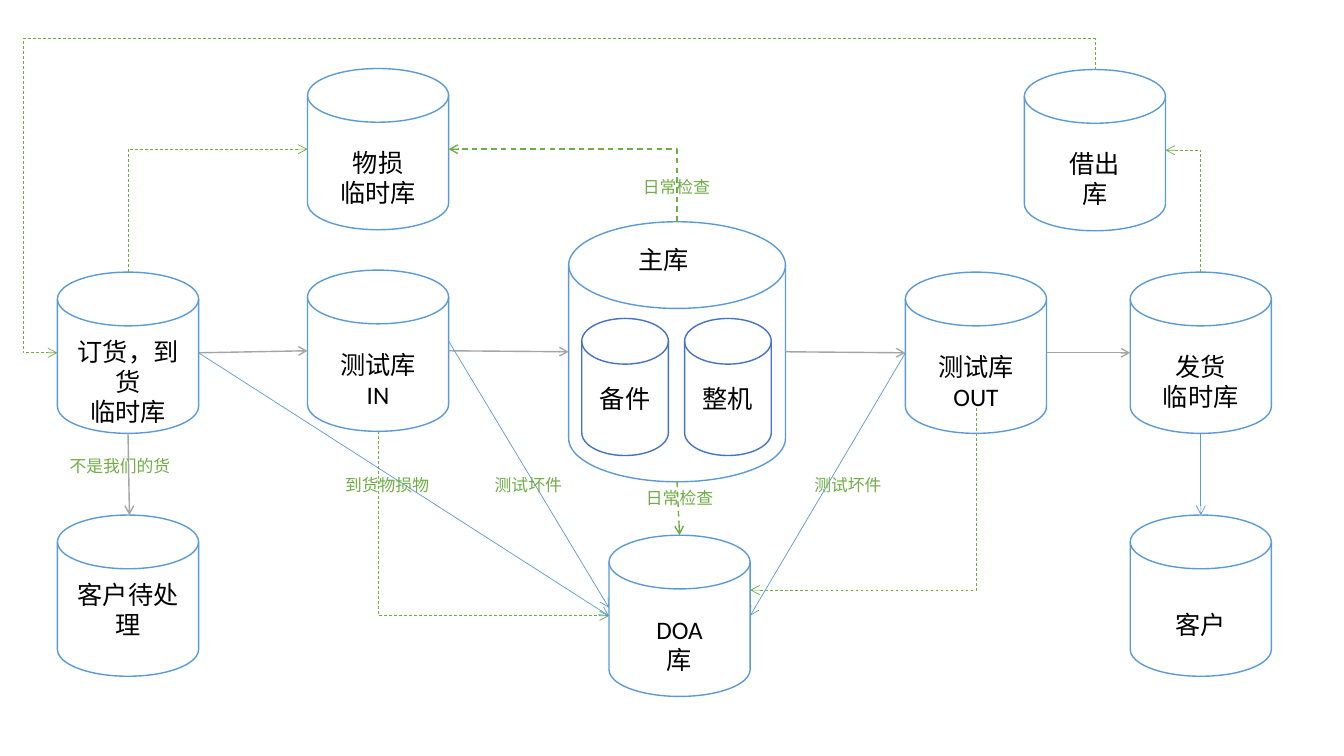
"""Build the slide of warehouse flows between stock cylinders."""
import dataclasses

import lxml.etree
import pptx
import pptx.dml.color
import pptx.enum.dml
import pptx.enum.shapes
import pptx.enum.text
import pptx.oxml.ns
import pptx.util

COLUMNS, ROWS = 133.3, 75
CELL = pptx.util.Inches(0.1)
COLORS = {"white": "FFFFFF", "black": "000000", "blue": "5B9BD5",
          "indigo": "4472C4", "gray": "A5A5A5", "green": "70AD47"}
FONT = "Calibri"
MIDDLE = pptx.enum.text.MSO_ANCHOR.MIDDLE
Point = tuple[float, float]


@dataclasses.dataclass(frozen=True)
class Store:
    left: float
    top: float
    text: str = ""
    width: float = 14
    height: float = 16
    color: str = "blue"
    drop: float = 3

    def at(self, across: float, down: float) -> Point:
        return self.left + across * self.width, self.top + down * self.height

    @property
    def north(self) -> Point:
        return self.at(0.5, 0)

    @property
    def south(self) -> Point:
        return self.at(0.5, 1)

    @property
    def west(self) -> Point:
        return self.at(0, 0.5)

    @property
    def east(self) -> Point:
        return self.at(1, 0.5)


@dataclasses.dataclass(frozen=True)
class Link:
    start: Point
    end: Point
    color: str
    weight: float = 0.5
    preset: str = "line"
    adjusts: tuple[int, ...] = ()


@dataclasses.dataclass(frozen=True)
class Label:
    left: float
    top: float
    text: str


MAIN = Store(56.4, 22, width=21.5, height=25.8)
ARRIVAL = Store(5.7, 27, "订货，到货\n临时库")
DOA = Store(60.4, 53.1, "DOA\n库")
DAMAGED = Store(30.5, 6.8, "物损\n临时库")
TEST_IN = Store(30.5, 26.8, "测试库\nIN")
TEST_OUT = Store(89.8, 27, "测试库\nOUT")
SHIPPING = Store(112.1, 27, "发货\n临时库")
LOAN = Store(101.6, 6.9, "借出\n库")
PENDING = Store(5.7, 51.1, "客户待处理", drop=0)
CUSTOMER = Store(112.1, 51.1, "客户")
INNER = [Store(57.7 + 10.2 * index, 31.6, text, 8.6, 13.6, "indigo", 0)
         for index, text in enumerate(("备件", "整机"))]
STORES = [MAIN, ARRIVAL, DOA, DAMAGED, TEST_IN, TEST_OUT, SHIPPING, LOAN,
          PENDING, CUSTOMER, *INNER]

ELBOW = "bentConnector2"
LINKS = [
    Link(ARRIVAL.east, TEST_IN.west, "gray", 1),
    Link(TEST_IN.east, MAIN.west, "gray", 1),
    Link(MAIN.east, TEST_OUT.west, "gray", 1),
    Link(TEST_OUT.east, SHIPPING.west, "gray", 1),
    Link(ARRIVAL.south, PENDING.at(0.51, 0), "gray", 1),
    Link(ARRIVAL.north, DAMAGED.west, "green", preset=ELBOW),
    Link(TEST_IN.south, DOA.west, "green", preset=ELBOW),
    Link(TEST_OUT.at(0.5, 0.84), DOA.at(1, 0.34), "green", preset=ELBOW),
    Link(MAIN.south, DOA.north, "green", 1),
    Link(MAIN.north, DAMAGED.east, "green", 1, ELBOW),
    Link(SHIPPING.north, LOAN.east, "green", preset=ELBOW),
    Link(LOAN.north, ARRIVAL.west, "green", preset="bentConnector4",
         adjusts=(-11000, 103300)),
    Link(SHIPPING.south, CUSTOMER.north, "blue"),
    Link(ARRIVAL.east, DOA.west, "blue"),
    Link(TEST_IN.at(1, 0.44), DOA.at(0, 0.45), "blue"),
    Link(TEST_OUT.west, DOA.east, "blue"),
]
LABELS = [Label(60.9, 17, "日常检查"), Label(61.2, 47.9, "日常检查"),
          Label(46.2, 46.6, "测试坏件"), Label(77.9, 46.6, "测试坏件"),
          Label(5.7, 44.7, "不是我们的货"), Label(32.2, 46.6, "到货物损物")]


def cells(count: float) -> int:
    return round(count * CELL)


def rgb(name: str) -> pptx.dml.color.RGBColor:
    return pptx.dml.color.RGBColor.from_string(COLORS[name])


def write(frame, text: str, *, size: float, color: str = "black",
          centred: bool = True) -> None:
    frame.word_wrap = True
    frame.text = text
    align = pptx.enum.text.PP_ALIGN
    for para in frame.paragraphs:
        para.alignment = align.CENTER if centred else align.LEFT
        for span in para.runs:
            span.font.name = FONT
            span.font.size = pptx.util.Pt(size)
            span.font.color.rgb = rgb(color)


def draw_store(page, store: Store) -> None:
    disk = page.shapes.add_shape(
        pptx.enum.shapes.MSO_SHAPE.FLOWCHART_MAGNETIC_DISK,
        *map(cells, (store.left, store.top, store.width, store.height)))
    disk.shadow.inherit = False
    disk.fill.solid()
    disk.fill.fore_color.rgb = rgb("white")
    disk.line.color.rgb = rgb(store.color)
    disk.line.width = pptx.util.Pt(1)
    if store.text:
        disk.text_frame.vertical_anchor = MIDDLE
        disk.text_frame.margin_top = cells(0.5 + store.drop)
        write(disk.text_frame, store.text, size=18)


def bend(line, link: Link) -> None:
    """Turn the line a quarter so that its first leg runs vertically."""
    (x1, y1), (x2, y2) = link.start, link.end
    width, height = abs(y2 - y1), abs(x2 - x1)
    line.left, line.top = cells((x1 + x2 - width) / 2), cells((y1 + y2 - height) / 2)
    line.width, line.height = cells(width), cells(height)
    frame = line._element.spPr.find(pptx.oxml.ns.qn("a:xfrm"))
    frame.set("rot", "5400000")
    frame.set("flipH", str(int(y2 < y1)))
    frame.set("flipV", str(int(x2 > x1)))
    outline = line._element.spPr.find(pptx.oxml.ns.qn("a:prstGeom"))
    outline.set("prst", link.preset)
    guides = outline.get_or_add_avLst()
    for number, value in enumerate(link.adjusts, 1):
        lxml.etree.SubElement(guides, pptx.oxml.ns.qn("a:gd"),
                              name=f"adj{number}", fmla=f"val {value}")


def draw_link(page, link: Link) -> None:
    kinds = pptx.enum.shapes.MSO_CONNECTOR
    straight = link.preset == "line"
    line = page.shapes.add_connector(kinds.STRAIGHT if straight else kinds.ELBOW,
                                     *map(cells, link.start + link.end))
    if not straight:
        bend(line, link)
    line.line.color.rgb = rgb(link.color)
    line.line.width = pptx.util.Pt(link.weight)
    if link.color == "green":
        line.line.dash_style = pptx.enum.dml.MSO_LINE.DASH
    lxml.etree.SubElement(line.line._get_or_add_ln(),
                          pptx.oxml.ns.qn("a:tailEnd"), type="arrow")
    lxml.etree.SubElement(line._element.spPr, pptx.oxml.ns.qn("a:effectLst"))


def draw_text(page, label: Label, *, width: float = 12.4, height: float = 3,
              **form) -> None:
    box = page.shapes.add_textbox(
        *map(cells, (label.left, label.top, width, height)))
    write(box.text_frame, label.text, **form)


def main() -> None:
    deck = pptx.Presentation()
    deck.slide_width, deck.slide_height = cells(COLUMNS), cells(ROWS)
    page = deck.slides.add_slide(deck.slide_layouts[6])
    for store in STORES:
        draw_store(page, store)
    for link in LINKS:
        draw_link(page, link)
    for label in LABELS:
        draw_text(page, label, size=12, color="green")
    draw_text(page, Label(62.3, 23.7, "主库"), width=9.7, height=4,
              size=18, centred=False)
    deck.save("out.pptx")


if __name__ == "__main__":
    main()
